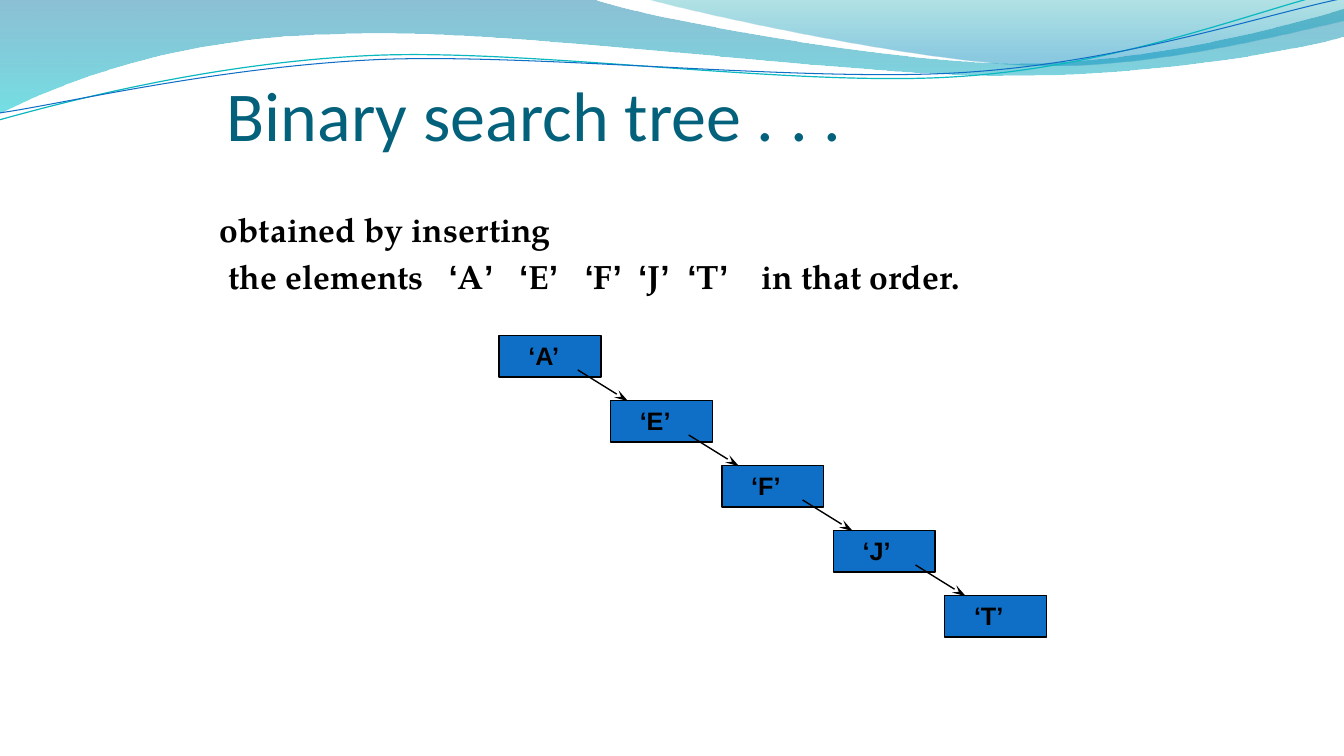
from lxml import etree
from pptx import Presentation
from pptx.dml.color import RGBColor
from pptx.enum import shapes, text
from pptx.oxml import ns
from pptx.util import Inches, Pt

BLACK = RGBColor(0x00, 0x00, 0x00)
BLUE = RGBColor(0x0F, 0x6F, 0xC6)
CYAN = RGBColor(0x0A, 0xB8, 0xBF)
TITLE_TEAL = RGBColor(0x04, 0x61, 0x7B)
DEEP_BLUE = RGBColor(0x00, 0x74, 0xA1)
AQUA = RGBColor(0x00, 0xC6, 0xCF)
TEAL = RGBColor(0x00, 0xA1, 0xA9)
SKY = RGBColor(0x00, 0x8B, 0xBF)
SERIF = "TeX Gyre Pagella"

deck = Presentation()
deck.slide_width, deck.slide_height = Inches(13.33), Inches(7.5)
page = deck.slides.add_slide(deck.slide_layouts[6])


def draw_wave(start, segments, closed):
    """Draw straight (x, y) and cubic (x1, y1, x2, y2, x, y) segments."""
    points = [(Inches(x), Inches(y)) for segment in segments
              for x, y in zip(segment[::2], segment[1::2])]
    builder = page.shapes.build_freeform(Inches(start[0]), Inches(start[1]), scale=1.0)
    builder.add_line_segments(points, close=closed)
    wave = builder.convert_to_shape()
    wave.shadow.inherit = False
    # Merge each run of three points into one cubic curve
    steps = iter(list(wave._element.iter(ns.qn("a:lnTo"))))
    for segment in segments:
        first = next(steps)
        if len(segment) == 6:
            curve = etree.Element(ns.qn("a:cubicBezTo"))
            first.addprevious(curve)
            for step in (first, next(steps), next(steps)):
                curve.append(step[0])
                step.getparent().remove(step)
    return wave


def add_span(para, words, font_name, size, color, bold=False):
    span = para.add_run()
    span.text = words
    span.font.color.rgb = color
    for key, value in {"name": font_name, "size": Pt(size), "bold": bold}.items():
        setattr(span.font, key, value)


# Translucent bands across the top: color, position and opacity in percent
bands = [
    ((0, 0), [(5.87, -0.01), (6.34, 0.17, 8.85, 0.63, 10.11, 0.63),
              (11.38, 0.63, 12.78, 0.26, 13.33, 0.09), (13.35, 0.36),
              (13.11, 0.44, 11.6, 0.76, 9.94, 0.75),
              (8.29, 0.75, 5.09, 0.28, 3.43, 0.34),
              (1.72, 0.36, 0.61, 0.83, -0.01, 1.13)],
     [(DEEP_BLUE, 0, 45), (AQUA, 100, 55)]),
    ((6.39, -0.01), [(6.79, 0.11, 9.09, 0.62, 10.25, 0.65),
                     (11.41, 0.69, 12.82, 0.32, 13.33, 0.21), (13.33, 0)],
     [(TEAL, 0, 30), (SKY, 80, 45)]),
]
for start, segments, stops in bands:
    band = draw_wave(start, segments, True)
    band.line.fill.background()
    band.fill.gradient()
    band.fill.gradient_angle = 270
    for stop, (color, position, opacity) in zip(band.fill.gradient_stops, stops):
        stop.color.rgb = color
        stop.position = position / 100
    tones = band._element.spPr.iter(ns.qn("a:srgbClr"))
    for tone, (color, position, opacity) in zip(tones, stops):
        etree.SubElement(tone, ns.qn("a:alpha"), val=str(opacity * 1000))

# Thin wavy lines
wave_lines = [
    ((-0.01, 1.19), [(0.64, 1.01, 2.11, 0.62, 3.69, 0.55),
                     (5.27, 0.48, 7.9, 0.87, 9.5, 0.76),
                     (11.1, 0.66, 12.52, 0.08, 13.31, -0.1)], CYAN, 0.85),
    ((0, 1.12), [(0.63, 1.03, 2.18, 0.66, 3.78, 0.59),
                 (5.37, 0.53, 7.96, 0.82, 9.55, 0.72),
                 (11.15, 0.62, 12.55, 0.14, 13.34, -0.02)], BLUE, 0.75),
]
for start, segments, color, width in wave_lines:
    wave_line = draw_wave(start, segments, False)
    wave_line.fill.background()
    wave_line.line.color.rgb = color
    wave_line.line.width = Pt(width)

# Body text, with the elements set on tab stops
body = page.shapes.add_textbox(Inches(2.08), Inches(2.02), Inches(8.92), Inches(4.94))
body.text_frame.word_wrap = True
add_span(body.text_frame.paragraphs[0], "obtained by inserting", SERIF, 24, BLACK, True)
para = body.text_frame.add_paragraph()
para.space_before = Pt(4.8)
tab_list = etree.SubElement(para._p.get_or_add_pPr(), ns.qn("a:tabLst"))
for stop in (2.27, 2.97, 3.62, 4.15, 4.64, 5.37):
    etree.SubElement(tab_list, ns.qn("a:tab"), pos=str(Inches(stop)), algn="l")
add_span(para, " the elements\t", SERIF, 24, BLACK, True)
for letter in "AEFJT":
    for words, font_name in (("‘", "Arial"), (letter, SERIF), ("’\t", "Arial")):
        add_span(para, words, font_name, 24, BLACK, True)
add_span(para, "in that order.", SERIF, 24, BLACK, True)

# Title
title = page.shapes.add_textbox(Inches(2.25), Inches(0.46), Inches(8.75), Inches(1.08))
title_format = {"word_wrap": True, "vertical_anchor": text.MSO_ANCHOR.BOTTOM,
                "margin_left": 0, "margin_right": 0,
                "margin_top": Inches(0.05), "margin_bottom": 0}
for key, value in title_format.items():
    setattr(title.text_frame, key, value)
add_span(title.text_frame.paragraphs[0], "Binary search tree . . .", "Calibri", 50, TITLE_TEAL)

# Tree nodes, stepping down to the right
node_format = {"word_wrap": False, "vertical_anchor": text.MSO_ANCHOR.MIDDLE,
               "margin_left": Inches(0.29), "margin_right": 0,
               "margin_top": 0, "margin_bottom": Inches(0.02)}
for index, letter in enumerate("AEFJT"):
    node = page.shapes.add_shape(
        shapes.MSO_SHAPE.RECTANGLE, Inches(4.95 + 1.105 * index),
        Inches(3.33 + 0.645 * index), Inches(1.01), Inches(0.41))
    node.shadow.inherit = False
    node.fill.solid()
    node.fill.fore_color.rgb = BLUE
    node.line.color.rgb = BLACK
    node.line.width = Pt(1)
    for key, value in node_format.items():
        setattr(node.text_frame, key, value)
    label = node.text_frame.paragraphs[0]
    label.alignment = text.PP_ALIGN.LEFT
    add_span(label, f"‘{letter}’", "Arial", 18, BLACK, True)

# Arrows from each node to its right child
for index, left in enumerate((5.73, 6.83, 7.96, 9.08)):
    top = 3.67 + 0.645 * index
    arrow = page.shapes.add_connector(
        shapes.MSO_CONNECTOR.STRAIGHT, Inches(left), Inches(top),
        Inches(left + 0.5), Inches(top + 0.31))
    arrow.line.color.rgb = BLACK
    arrow.line.width = Pt(1)
    etree.SubElement(arrow.line._get_or_add_ln(), ns.qn("a:tailEnd"),
                     type="stealth", w="med", len="lg")
    etree.SubElement(arrow._element.spPr, ns.qn("a:effectLst"))

deck.save("out.pptx")
